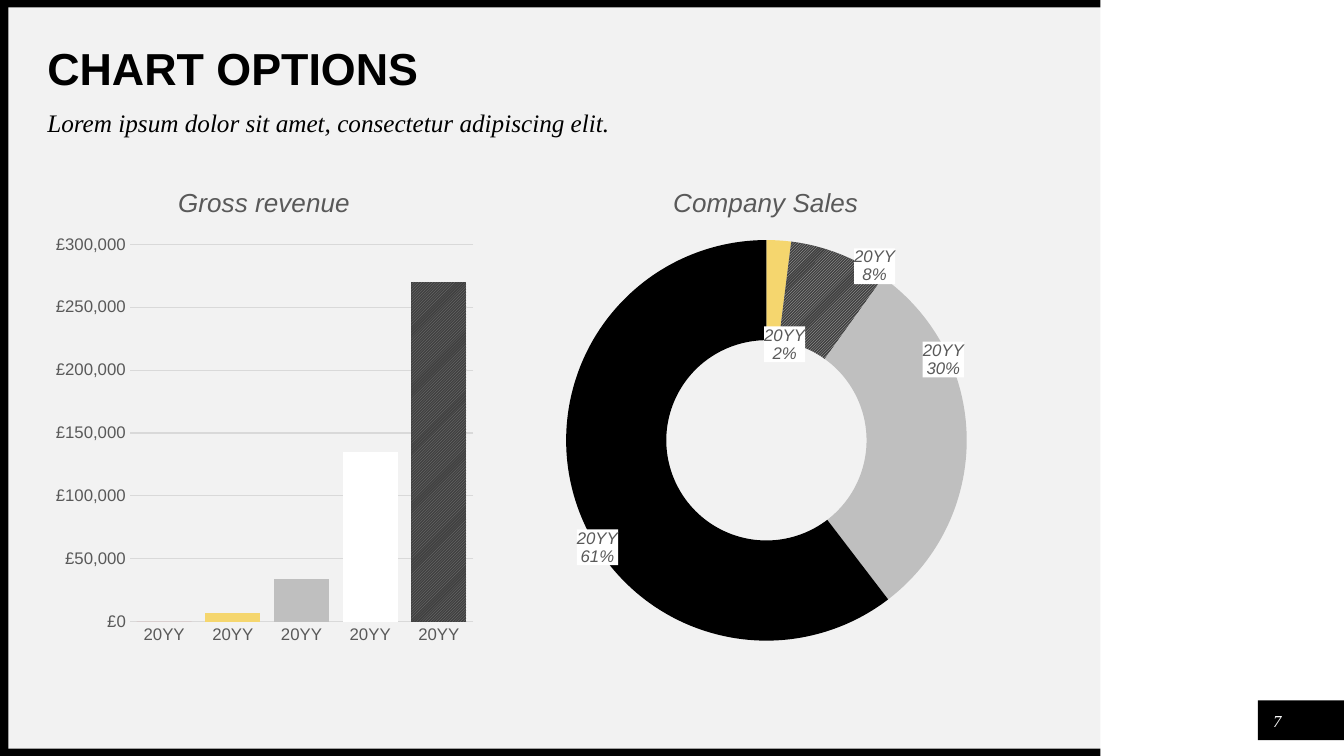
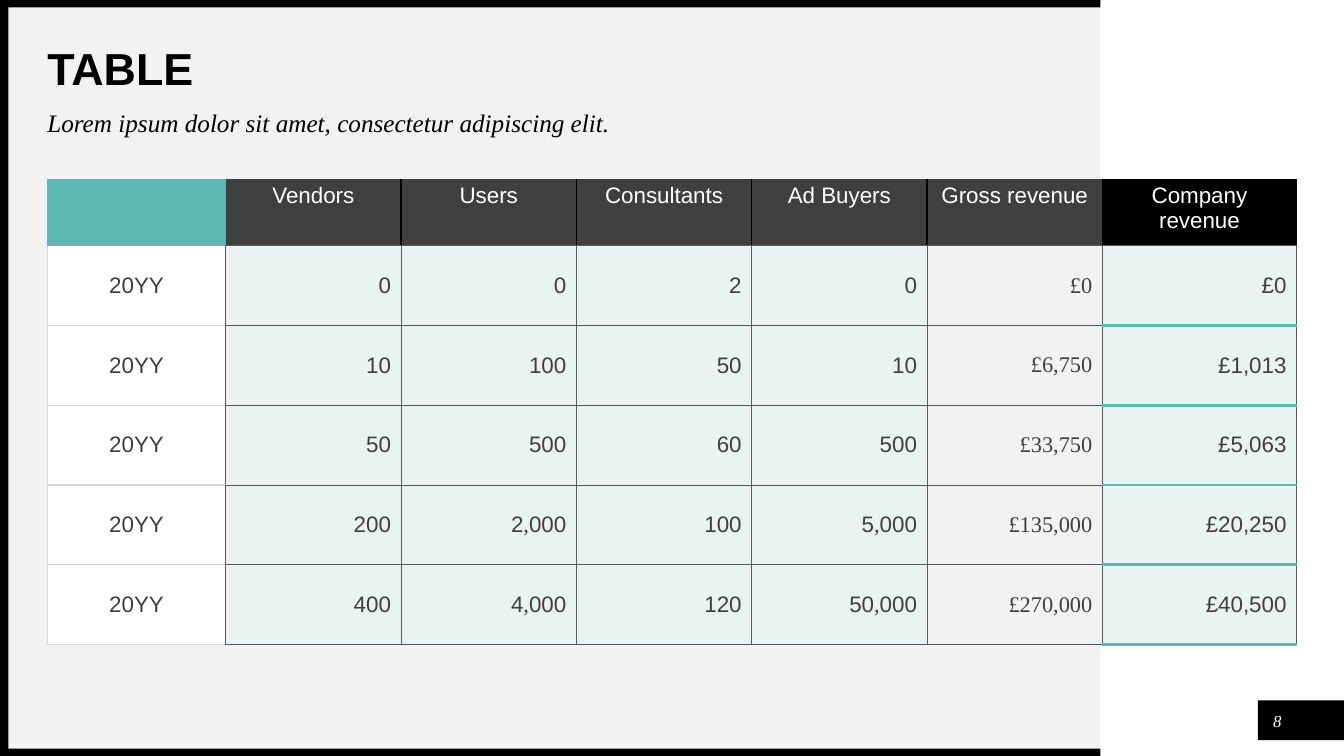
"""Builds two slides: chart options and a table, with shared bands and titles."""
from pptx import Presentation
from pptx import util as u
from pptx.chart.data import CategoryChartData
from pptx.dml.color import RGBColor
from pptx.enum import chart as charts, dml, shapes, text
from pptx.oxml import parse_xml
from pptx.oxml.ns import nsdecls, qn

PX = 9525
BLACK = RGBColor(0x00, 0x00, 0x00)
WHITE = RGBColor(0xFF, 0xFF, 0xFF)
PANEL = RGBColor(0xF2, 0xF2, 0xF2)
CHARCOAL = RGBColor(0x3F, 0x3F, 0x3F)
HATCH = RGBColor(0x40, 0x40, 0x40)
LABEL = RGBColor(0x59, 0x59, 0x59)
HATCH_LINE = RGBColor(0x80, 0x80, 0x80)
SILVER = RGBColor(0xBF, 0xBF, 0xBF)
RULE = RGBColor(0xD8, 0xD8, 0xD8)
GRIDLINE = RGBColor(0xD9, 0xD9, 0xD9)
TEAL = RGBColor(0x5C, 0xB8, 0xB3)
PALE_TEAL = RGBColor(0xE9, 0xF3, 0xF2)
ROSE = RGBColor(0xD7, 0x81, 0x89)
YELLOW = RGBColor(0xF5, 0xD6, 0x6E)
SANS, SERIF = "Arial", "Times New Roman"
LEFT, CENTER, RIGHT = text.PP_ALIGN.LEFT, text.PP_ALIGN.CENTER, text.PP_ALIGN.RIGHT
TOP, MIDDLE = text.MSO_ANCHOR.TOP, text.MSO_ANCHOR.MIDDLE


def write(paragraph, content, size=16, font=SANS, colour=BLACK, bold=False, italic=False,
          align=LEFT, spacing=None):
    """Append one formatted run to the paragraph."""
    paragraph.alignment = align
    paragraph.space_before = u.Pt(0)
    if spacing:
        paragraph.line_spacing = spacing
    run = paragraph.add_run()
    run.text = content
    run.font.size, run.font.name = u.Pt(size), font
    run.font.bold, run.font.italic = bold, italic
    run.font.color.rgb = colour


def frame_paragraph(shape, bounds, anchor):
    """Place a text shape and return its first paragraph."""
    shape.left, shape.top, shape.width, shape.height = [n * PX for n in bounds]
    frame = shape.text_frame
    frame.word_wrap, frame.auto_size = True, text.MSO_AUTO_SIZE.NONE
    frame.vertical_anchor = anchor
    frame.margin_left = frame.margin_right = frame.margin_top = frame.margin_bottom = 0
    return frame.paragraphs[0]


presentation = Presentation()
presentation.slide_width, presentation.slide_height = 1280 * PX, 720 * PX
BANDS = [
    ((8, 7, 1040, 706), PANEL),
    ((1198, 667, 82, 38), BLACK),
    ((0, 713, 1048, 7), BLACK),
    ((0, 0, 1048, 7), BLACK),
    ((0, 0, 8, 720), BLACK),
]

slides = []
for title, number, subtitle_width in [("CHART OPTIONS", "7", 1190), ("TABLE", "8", 966)]:
    slide = presentation.slides.add_slide(presentation.slide_layouts.get_by_name("Section Header"))
    slides.append(slide)
    heading, subtitle = slide.placeholders
    tree = slide.shapes._spTree
    for index, (bounds, colour) in enumerate(BANDS):
        band = slide.shapes.add_shape(shapes.MSO_SHAPE.RECTANGLE, *[n * PX for n in bounds])
        band.shadow.inherit = False
        band.fill.solid()
        band.fill.fore_color.rgb = colour
        band.line.fill.background()
        tree.insert(index + 2, band._element)

    write(frame_paragraph(heading, (45, 45, 966, 45), MIDDLE), title,
          size=32, bold=True, spacing=0.9)
    write(frame_paragraph(subtitle, (45, 105, subtitle_width, 37), TOP),
          "Lorem ipsum dolor sit amet, consectetur adipiscing elit.",
          size=18, font=SERIF, italic=True, spacing=0.9)
    write(frame_paragraph(slide.shapes.add_textbox(0, 0, 0, 0), (1202, 672, 29, 29), MIDDLE),
          number, size=12, font=SERIF, colour=WHITE, italic=True, align=CENTER)

chart_slide, table_slide = slides

CHARTS = [
    dict(title="Gross revenue", kind=charts.XL_CHART_TYPE.COLUMN_CLUSTERED,
         bounds=(45, 158, 414, 467), values=[0, 7000, 34000, 135000, 270000],
         fills=[ROSE, YELLOW, SILVER, WHITE, (HATCH_LINE, HATCH)],
         plot=dict(x=0.19, y=0.16, w=0.79, h=0.77), title_at=dict(x=0.29, y=0.03)),
    dict(title="Company Sales", kind=charts.XL_CHART_TYPE.DOUGHNUT,
         bounds=(518, 158, 424, 467), values=[0, 2, 8, 30, 61],
         fills=[ROSE, YELLOW, (SILVER, HATCH), SILVER, BLACK],
         plot=dict(x=0.05, y=0.15, w=0.9, h=0.82), title_at=dict(x=0.28, y=0.03)),
]
LAYOUT = "<c:layout {}><c:manualLayout>{}</c:manualLayout></c:layout>"

built = []
for settings in CHARTS:
    data = CategoryChartData(number_format='"£"#,##0')
    data.categories = ["20YY"] * 5
    data.add_series("Series 1", settings["values"])
    chart = chart_slide.shapes.add_chart(
        settings["kind"], *[n * PX for n in settings["bounds"]], data).chart
    built.append(chart)
    chart.has_legend = False
    chart.font.size, chart.font.name, chart.font.color.rgb = u.Pt(10), SANS, BLACK
    write(chart.chart_title.text_frame.paragraphs[0], settings["title"],
          size=18.6, colour=LABEL, italic=True, align=CENTER)
    chart.chart_title.include_in_layout = False

    plot_area, title = [chart.element.find(".//" + qn(tag)) for tag in ("c:plotArea", "c:title")]
    for parent, place in [(plot_area, settings["plot"]), (title, settings["title_at"])]:
        for old in parent.findall(qn("c:layout")):
            parent.remove(old)
        inner = '<c:layoutTarget val="inner"/>' if parent is plot_area else ""
        modes = '<c:xMode val="edge"/><c:yMode val="edge"/>'
        sizes = "".join(f'<c:{key} val="{value}"/>' for key, value in place.items())
        parent.insert(0 if parent is plot_area else 1,
                      parse_xml(LAYOUT.format(nsdecls("c"), inner + modes + sizes)))

    series = chart.plots[0].series[0]
    for index, colour in enumerate(settings["fills"]):
        point = series.points[index].format
        point.line.fill.background()
        if isinstance(colour, RGBColor):
            point.fill.solid()
            point.fill.fore_color.rgb = colour
        else:
            point.fill.patterned()
            point.fill.pattern = dml.MSO_PATTERN.DARK_UPWARD_DIAGONAL
            point.fill.fore_color.rgb, point.fill.back_color.rgb = colour

columns, doughnut = built
columns.plots[0].gap_width = 25
columns.plots[0].vary_by_categories = False
doughnut.plots[0].vary_by_categories = True
doughnut.element.find(".//" + qn("c:holeSize")).set("val", "90")

value_axis, category_axis = columns.value_axis, columns.category_axis
for axis in (value_axis, category_axis):
    axis.major_tick_mark = axis.minor_tick_mark = charts.XL_TICK_MARK.NONE
    font = axis.tick_labels.font
    font.size, font.name, font.color.rgb = u.Pt(12), SANS, LABEL
value_axis.minimum_scale, value_axis.maximum_scale, value_axis.major_unit = 0, 300000, 50000
value_axis.tick_labels.number_format = '"£"#,##0'
value_axis.tick_labels.number_format_is_linked = False
value_axis.format.line.fill.background()
for line in (value_axis.major_gridlines.format.line, category_axis.format.line):
    line.color.rgb, line.width = GRIDLINE, u.Pt(0.75)

LABEL_LOOK = (
    '<c:numFmt formatCode="0&quot;%&quot;" sourceLinked="0"/>'
    f'<c:spPr><a:solidFill><a:srgbClr val="{WHITE}"/></a:solidFill><a:ln><a:noFill/></a:ln></c:spPr>'
    '<c:txPr><a:bodyPr/><a:p><a:pPr><a:defRPr sz="1200" b="0" i="1"><a:solidFill>'
    f'<a:srgbClr val="{LABEL}"/></a:solidFill><a:latin typeface="{SANS}"/></a:defRPr></a:pPr>'
    '<a:endParaRPr lang="en-GB"/></a:p></c:txPr>'
    '<c:showLegendKey val="0"/><c:showVal val="1"/><c:showCatName val="1"/>'
    '<c:showSerName val="0"/><c:showPercent val="0"/><c:showBubbleSize val="0"/>'
    "<c:separator>\n</c:separator>")
label_offsets = {1: (0.02, 0.11), 2: (0.12, -0.07), 3: (0.06, -0.16), 4: (-0.06, 0.12)}
point_labels = '<c:dLbl><c:idx val="0"/><c:delete val="1"/></c:dLbl>'
for index, (x, y) in label_offsets.items():
    offset = LAYOUT.format("", f'<c:x val="{x}"/><c:y val="{y}"/>')
    point_labels += f'<c:dLbl><c:idx val="{index}"/>{offset}{LABEL_LOOK}</c:dLbl>'
doughnut.element.find(".//" + qn("c:cat")).addprevious(parse_xml(
    f'<c:dLbls {nsdecls("c", "a")}>{point_labels}{LABEL_LOOK}'
    '<c:showLeaderLines val="0"/></c:dLbls>'))

ROWS = [
    ["", "Vendors", "Users", "Consultants", "Ad Buyers", "Gross revenue", "Company revenue"],
    ["20YY", "0", "0", "2", "0", "£0", "£0"],
    ["20YY", "10", "100", "50", "10", "£6,750", "£1,013"],
    ["20YY", "50", "500", "60", "500", "£33,750", "£5,063"],
    ["20YY", "200", "2,000", "100", "5,000", "£135,000", "£20,250"],
    ["20YY", "400", "4,000", "120", "50,000", "£270,000", "£40,500"],
]
WIDTHS = [170] + [167] * 5 + [185]
HEIGHTS = [64] + [76] * 5
HEADER_FILLS = [TEAL] + [CHARCOAL] * 5 + [BLACK]
BODY_FILLS = [WHITE] + [PALE_TEAL] * 4 + [PANEL, PALE_TEAL]
GROSS, COMPANY = 5, 6
THIN, DIVIDER, PALE, ACCENT = (LABEL, 0.75), (BLACK, 1), (RULE, 1), (TEAL, 2.25)

table = table_slide.shapes.add_table(
    len(ROWS), len(WIDTHS), 45 * PX, 170 * PX, sum(WIDTHS) * PX, sum(HEIGHTS) * PX).table
table.first_row = table.horz_banding = False
for column, width in zip(table.columns, WIDTHS):
    column.width = width * PX
for row, height in zip(table.rows, HEIGHTS):
    row.height = height * PX

for r, values in enumerate(ROWS):
    for c, value in enumerate(values):
        cell = table.cell(r, c)
        cell.fill.solid()
        cell.fill.fore_color.rgb = (BODY_FILLS if r else HEADER_FILLS)[c]
        paragraph = cell.text_frame.paragraphs[0]
        if r:
            cell.vertical_anchor = MIDDLE
        pieces = value.partition(",") if c < GROSS else (value,)
        for piece in filter(None, pieces):
            write(paragraph, piece, colour=CHARCOAL if r else WHITE,
                  font=SERIF if r and (c == GROSS or piece == ",") else SANS,
                  align=RIGHT if r and c else CENTER)

        if r == 0:
            edges = (DIVIDER if c > 1 else None, DIVIDER if 0 < c < COMPANY else None,
                     None, THIN if c else None)
        elif c == 0:
            edges = (PALE, THIN, PALE if r > 1 else None, PALE)
        elif c == COMPANY:
            edges = (THIN, THIN, ACCENT if r > 1 else THIN, ACCENT)
        else:
            edges = (THIN,) * 4
        properties = cell._tc.get_or_add_tcPr()
        for index, (side, edge) in enumerate(zip("LRTB", edges)):
            width, paint = 0, "<a:noFill/>"
            if edge:
                width = u.Pt(edge[1])
                paint = f'<a:solidFill><a:srgbClr val="{edge[0]}"/></a:solidFill>'
            properties.insert(index, parse_xml(
                f'<a:ln{side} {nsdecls("a")} w="{width}">{paint}</a:ln{side}>'))

presentation.save("out.pptx")
